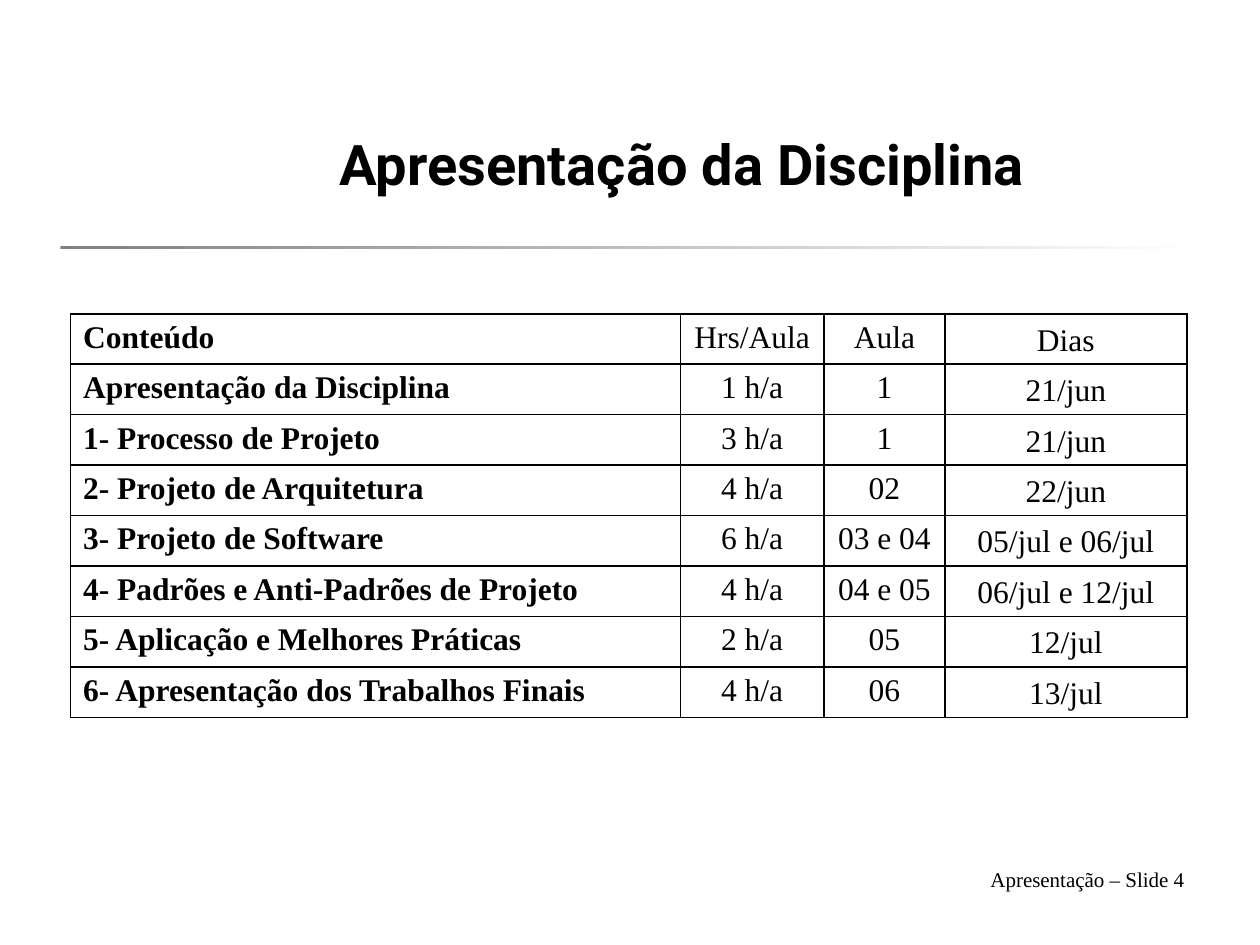
from lxml import etree
from pptx import Presentation
from pptx.dml.color import RGBColor
from pptx.enum.shapes import MSO_SHAPE
from pptx.enum.text import MSO_ANCHOR, PP_ALIGN
from pptx.oxml import parse_xml
from pptx.oxml.ns import nsdecls
from pptx.util import Inches, Pt

LEFT, CENTER, RIGHT = PP_ALIGN.LEFT, PP_ALIGN.CENTER, PP_ALIGN.RIGHT
TOP, MIDDLE, BOTTOM = MSO_ANCHOR.TOP, MSO_ANCHOR.MIDDLE, MSO_ANCHOR.BOTTOM
RECT = MSO_SHAPE.RECTANGLE
COLORS = {"ink": "000000", "gray": "808080", "white": "FFFFFF"}
SERIF, SANS = "Times New Roman", "Roboto"


def write(frame, text, size, face, align, bold=False):
    frame.text = text
    para = frame.paragraphs[0]
    para.alignment = align
    font = para.runs[0].font
    font.size, font.name, font.bold = Pt(size), face, bold
    font.color.rgb = RGBColor.from_string(COLORS["ink"])


def add_text(text, box, size, face, align, anchor, bold=False):
    frame = slide.shapes.add_textbox(*map(Inches, box)).text_frame
    frame.word_wrap = True
    frame.vertical_anchor = anchor
    write(frame, text, size, face, align, bold)


deck = Presentation()
deck.slide_width, deck.slide_height = Inches(10), Inches(7.5)
slide = deck.slides.add_slide(deck.slide_layouts[6])

rule = slide.shapes.add_shape(RECT, Inches(0.48), Inches(1.95), Inches(9), Inches(0.03))
rule.shadow.inherit = False
rule.line.fill.background()
rule.fill.gradient()
rule.fill.gradient_angle = 0
for stop, name, place in zip(rule.fill.gradient_stops, ("gray", "white"), (0, 1)):
    stop.color.rgb = RGBColor.from_string(COLORS[name])
    stop.position = place

add_text("Apresentação – Slide 4", (6.42, 6.83, 3.08, 0.52), 12, SERIF, RIGHT, TOP)
add_text("Apresentação da Disciplina", (1.58, 0.67, 7.67, 1.25), 32, SANS, CENTER, MIDDLE, True)

rows = [
    ("Conteúdo", "Hrs/Aula", "Aula", "Dias"),
    ("Apresentação da Disciplina", "1 h/a", "1", "21/jun"),
    ("1- Processo de Projeto", "3 h/a", "1", "21/jun"),
    ("2- Projeto de Arquitetura", "4 h/a", "02", "22/jun"),
    ("3- Projeto de Software", "6 h/a", "03 e 04", "05/jul e 06/jul"),
    ("4- Padrões e Anti-Padrões de Projeto", "4 h/a", "04 e 05", "06/jul e 12/jul"),
    ("5- Aplicação e Melhores Práticas", "2 h/a", "05", "12/jul"),
    ("6- Apresentação dos Trabalhos Finais", "4 h/a", "06", "13/jul"),
]
widths = (4.84, 1.14, 0.96, 1.92)
aligns = (LEFT, CENTER, CENTER, CENTER)
anchors = (TOP, TOP, TOP, BOTTOM)
height = 0.4

table = slide.shapes.add_table(
    len(rows), len(widths), Inches(0.56), Inches(2.49),
    Inches(sum(widths)), Inches(height * len(rows)),
).table
table.first_row = table.horz_banding = False
for col, width in zip(table.columns, widths):
    col.width = Inches(width)

for r, row in enumerate(rows):
    table.rows[r].height = Inches(height)
    for c, text in enumerate(row):
        cell = table.cell(r, c)
        cell.vertical_anchor = anchors[c]
        write(cell.text_frame, text, 18, SERIF, aligns[c], c == 0)
        props = cell._tc.get_or_add_tcPr()
        for side in ("lnL", "lnR", "lnT", "lnB"):
            line = parse_xml(f'<a:{side} {nsdecls("a")} w="{Pt(1)}"/>')
            fill = etree.SubElement(line, "{%s}solidFill" % line.nsmap["a"])
            etree.SubElement(fill, "{%s}srgbClr" % line.nsmap["a"], val=COLORS["ink"])
            props.append(line)
        cell.fill.background()

deck.save("out.pptx")
